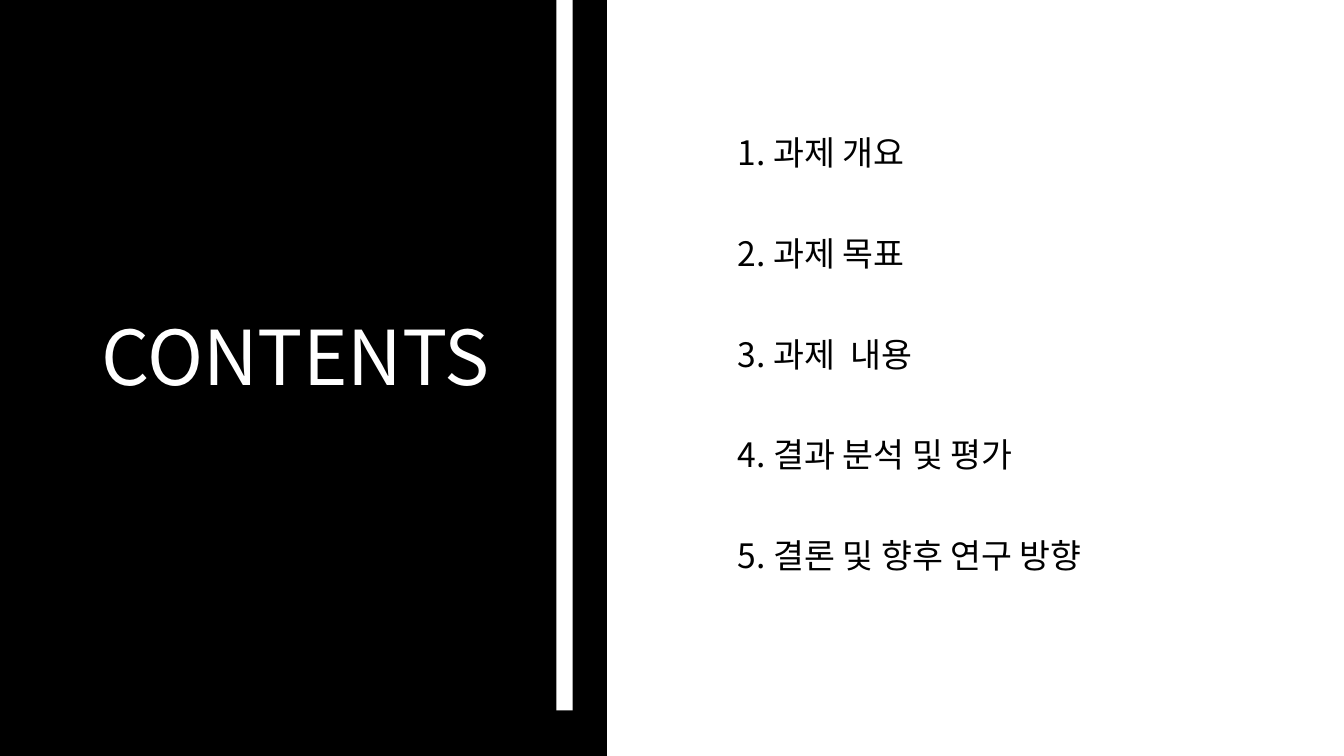
from lxml.etree import SubElement
from pptx import Presentation
from pptx.dml.color import RGBColor
from pptx.enum.shapes import MSO_SHAPE
from pptx.enum.text import MSO_AUTO_SIZE, PP_ALIGN
from pptx.oxml.ns import qn
from pptx.util import Pt

COLORS = {"black": "000000", "white": "FFFFFF"}
FONT = "Noto Sans CJK KR"
WIDTH, HEIGHT = 960, 540

# Contents entries with the width of each text box
ITEMS = [
    ("1. 과제 개요", 142.5),
    ("2. 과제 목표", 142.5),
    ("3. 과제  내용", 196.5),
    ("4. 결과 분석 및 평가", 260),
    ("5. 결론 및 향후 연구 방향", 327),
]


def add_rect(slide, x, y, w, h, color):
    sp = slide.shapes.add_shape(MSO_SHAPE.RECTANGLE, Pt(x), Pt(y), Pt(w), Pt(h))
    sp.shadow.inherit = False
    sp.fill.solid()
    sp.fill.fore_color.rgb = RGBColor.from_string(COLORS[color])
    sp.line.fill.background()


def add_text(slide, x, y, w, h, text, size, color, align=PP_ALIGN.LEFT):
    tf = slide.shapes.add_textbox(Pt(x), Pt(y), Pt(w), Pt(h)).text_frame
    tf.word_wrap = True
    tf.auto_size = MSO_AUTO_SIZE.SHAPE_TO_FIT_TEXT
    p = tf.paragraphs[0]
    p.alignment = align
    r = p.add_run()
    r.text = text
    r.font.size = Pt(size)
    r.font.name = FONT
    r.font.color.rgb = RGBColor.from_string(COLORS[color])
    # Korean glyphs take the East Asian typeface
    SubElement(r.font._element, qn("a:ea"), typeface=FONT)


def add_title_panel(slide, x, y, w, h):
    add_rect(slide, x, y, w, h, "black")
    # White stripe near the right edge
    add_rect(slide, x + w - 36, y, 11.5, h - 32.5, "white")
    add_text(slide, x + 62, y + 217.5, 298, 72.5, "CONTENTS", 54, "white",
             PP_ALIGN.CENTER)


def add_contents_list(slide, x, y, pitch):
    for i, (text, w) in enumerate(ITEMS):
        add_text(slide, x, y + i * pitch, w, 35.5, text, 24, "black")


def main():
    prs = Presentation()
    prs.slide_width, prs.slide_height = Pt(WIDTH), Pt(HEIGHT)
    slide = prs.slides.add_slide(prs.slide_layouts[6])
    add_title_panel(slide, 0, 0, 433.5, HEIGHT)
    add_contents_list(slide, 520, 90.75, 72)
    prs.save("out.pptx")


if __name__ == "__main__":
    main()
